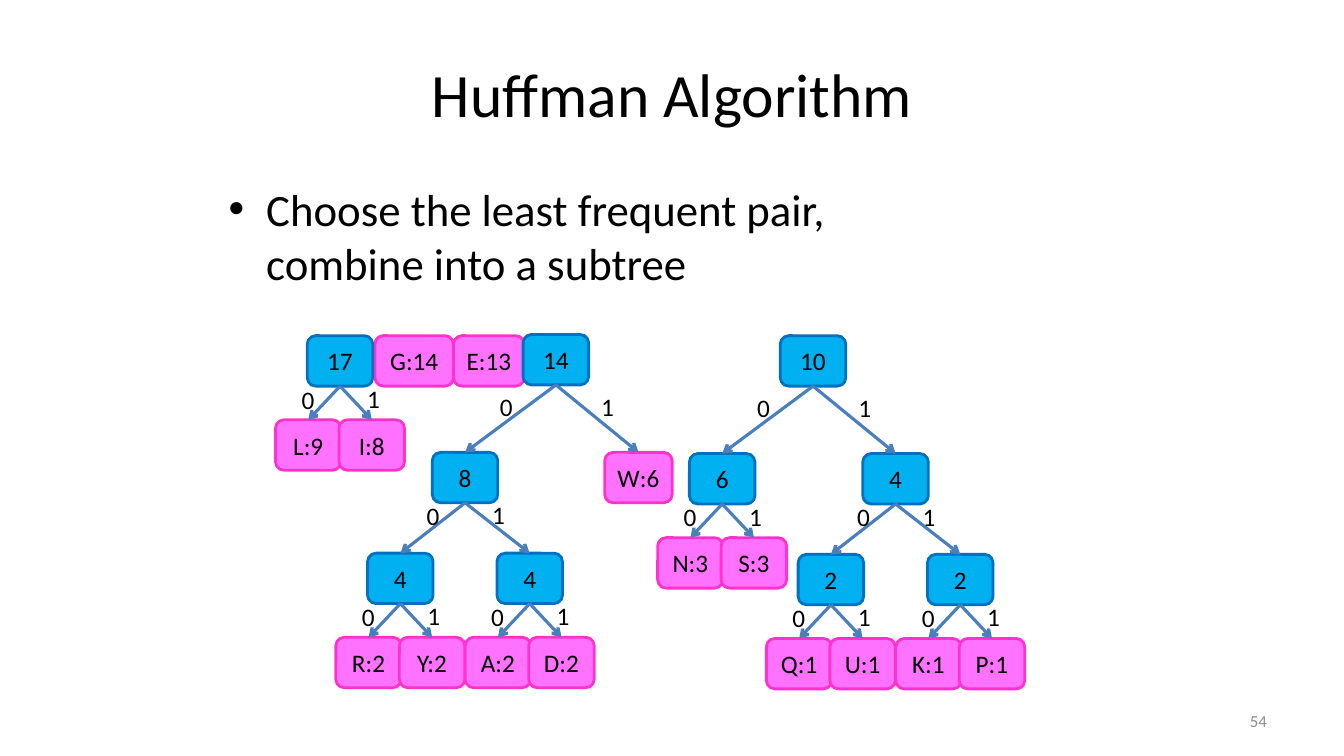
from dataclasses import dataclass

from lxml.etree import SubElement
from pptx import Presentation
from pptx.dml.color import RGBColor as Rgb
from pptx.enum.shapes import MSO_CONNECTOR as Connector, MSO_SHAPE as Preset
from pptx.enum.text import MSO_ANCHOR as Anchor, PP_ALIGN as Align
from pptx.oxml.ns import qn
from pptx.util import Cm, Pt

TITLE = "Huffman Algorithm"
STEP = "Choose the least frequent pair, combine into a subtree"
PAGE = "54"

FOREST = [
    (10.44, 8.46, "G:14"),
    (12.32, 8.46, "E:13"),
    (20.49, 8.46, ("10",
                   ("6", "N:3", "S:3"),
                   ("4", ("2", "Q:1", "U:1"), ("2", "K:1", "P:1")))),
    (14.01, 8.43, ("14",
                   ("8", ("4", "R:2", "Y:2"), ("4", "A:2", "D:2")),
                   "W:6")),
    (8.57, 8.46, ("17", "L:9", "I:8")),
]

NODE_WIDTH, NODE_HEIGHT = 1.65, 1.27
WIDE_NODES = {"G:14": 1.98, "E:13": 1.78, "W:6": 1.7}
DROP = {1: 2.12, 2: 2.54, 3: 2.97}
CHILD_OFFSETS = {1: (-0.8, 0.8), 2: (-1.63, 1.63), 3: (-2.29, 2.08)}
BIT_OFFSETS = {
    1: ((-1.22, -0.18), (0.43, -0.2)),
    2: ((-1.22, -0.18), (0.43, -0.2)),
    3: ((-1.66, 0.04), (0.89, 0.04)),
}


@dataclass(frozen=True)
class Theme:
    font: str = "Calibri"
    ink: Rgb = Rgb(0, 0, 0)
    muted: Rgb = Rgb(0x8C, 0x8C, 0x8C)
    leaf: Rgb = Rgb(0xFF, 0x71, 0xFF)
    leaf_edge: Rgb = Rgb(0xFF, 0x33, 0xCC)
    subtree: Rgb = Rgb(0x00, 0xB0, 0xF0)
    subtree_edge: Rgb = Rgb(0x00, 0x70, 0xC0)
    branch: Rgb = Rgb(0x4B, 0x7E, 0xBC)
    title_size: int = 44
    step_size: int = 32
    node_size: int = 18
    page_size: int = 12


THEME = Theme()


def write(frame, words, size, color=THEME.ink, align=Align.LEFT, anchor=Anchor.TOP):
    frame.text = words
    frame.vertical_anchor = anchor
    paragraph = frame.paragraphs[0]
    paragraph.alignment = align
    font = paragraph.runs[0].font
    font.name, font.size = THEME.font, Pt(size)
    font.color.rgb = color
    return paragraph


def add_words(shapes, box, words, size, wrap=True, **style):
    frame = shapes.add_textbox(*map(Cm, box)).text_frame
    frame.word_wrap = wrap
    return write(frame, words, size, **style)


def height_of(tree):
    return 0 if isinstance(tree, str) else 1 + max(map(height_of, tree[1:]))


def add_node(shapes, center, top, label, fill, edge):
    width = WIDE_NODES.get(label, NODE_WIDTH)
    node = shapes.add_shape(Preset.ROUNDED_RECTANGLE, Cm(center - width / 2), Cm(top),
                            Cm(width), Cm(NODE_HEIGHT))
    node.shadow.inherit = False
    node.fill.solid()
    node.fill.fore_color.rgb = fill
    node.line.color.rgb = edge
    node.line.width = Pt(2)
    node.text_frame.word_wrap = False
    write(node.text_frame, label, THEME.node_size, align=Align.CENTER, anchor=Anchor.MIDDLE)
    return node


def add_branch(shapes, parent, child):
    branch = shapes.add_connector(Connector.STRAIGHT, 0, 0, 0, 0)
    branch.begin_connect(parent, 2)
    branch.end_connect(child, 0)
    branch.line.color.rgb = THEME.branch
    branch.line.width = Pt(2.25)
    SubElement(branch.line._get_or_add_ln(), qn("a:tailEnd"), type="arrow")
    SubElement(branch._element.spPr, qn("a:effectLst"))


def add_tree(shapes, center, top, tree):
    if isinstance(tree, str):
        return add_node(shapes, center, top, tree, THEME.leaf, THEME.leaf_edge)
    label, *subtrees = tree
    height = height_of(tree)
    children = [add_tree(shapes, center + offset, top + DROP[height], subtree)
                for offset, subtree in zip(CHILD_OFFSETS[height], subtrees)]
    parent = add_node(shapes, center, top, label, THEME.subtree, THEME.subtree_edge)
    for child in children:
        add_branch(shapes, parent, child)
    for bit, (across, down) in enumerate(BIT_OFFSETS[height]):
        box = (center + across, top + NODE_HEIGHT + down, 0.84, 1.02)
        add_words(shapes, box, str(bit), THEME.node_size, wrap=False)
    return parent


def main():
    deck = Presentation()
    deck.slide_width, deck.slide_height = Cm(33.87), Cm(19.05)
    slide = deck.slides.add_slide(deck.slide_layouts[5])

    title = slide.shapes.title
    title.left, title.top, title.width, title.height = map(Cm, (1.7, 0.76, 30.48, 3.18))
    write(title.text_frame, TITLE, THEME.title_size, align=Align.CENTER, anchor=Anchor.MIDDLE)

    step = add_words(slide.shapes, (5.51, 4.45, 18.8, 3.18), STEP, THEME.step_size)
    indent = step._p.get_or_add_pPr()
    indent.set("marL", str(Cm(0.95)))
    indent.set("indent", str(Cm(-0.95)))
    SubElement(indent, qn("a:buFont"), typeface="Arial")
    SubElement(indent, qn("a:buChar"), char="•")

    add_words(slide.shapes, (24.28, 17.65, 7.9, 1.02), PAGE, THEME.page_size,
              color=THEME.muted, align=Align.RIGHT, anchor=Anchor.MIDDLE)

    for center, top, tree in FOREST:
        single = isinstance(tree, str)
        shapes = slide.shapes if single else slide.shapes.add_group_shape().shapes
        add_tree(shapes, center, top, tree)

    deck.save("out.pptx")


if __name__ == "__main__":
    main()
